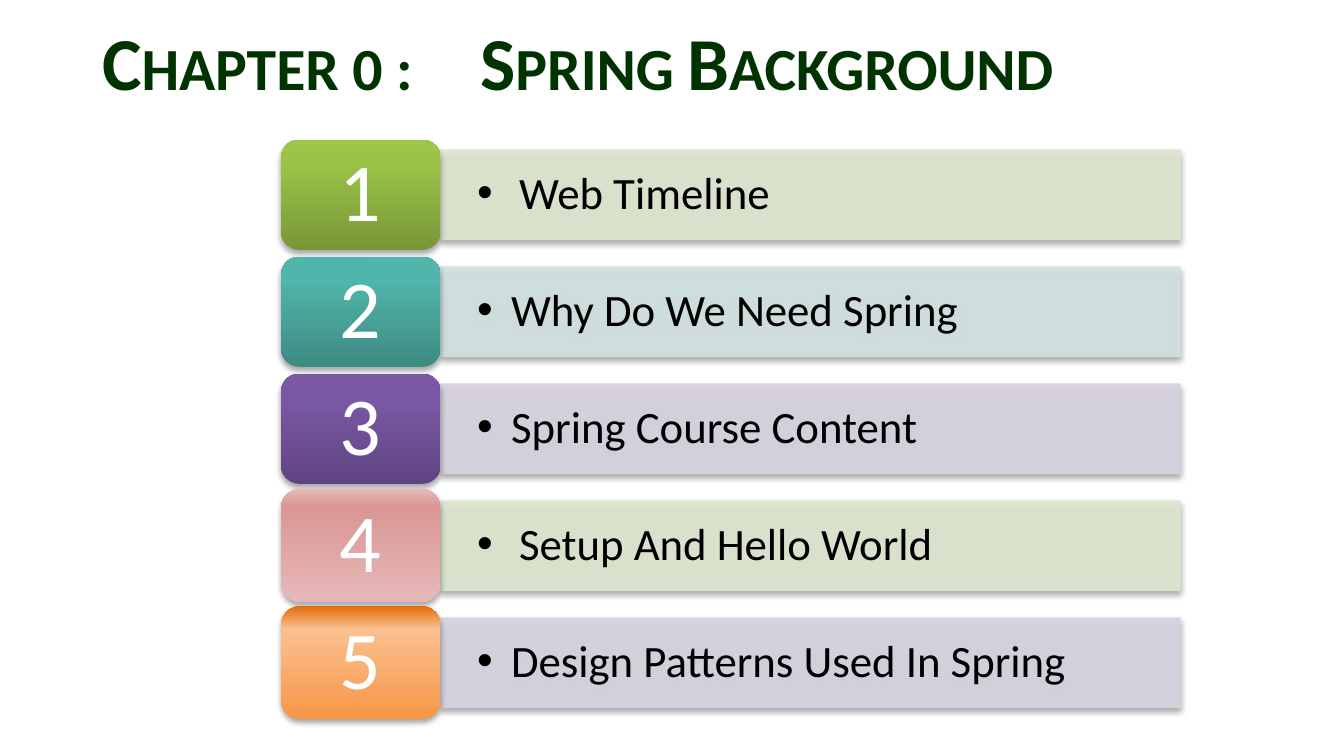
from lxml import etree
from pptx import Presentation, util as u
from pptx.dml.color import RGBColor
from pptx.enum import shapes, text
from pptx.oxml import parse_xml
from pptx.oxml.ns import nsdecls, qn

COLORS = {
    "title": "003300", "text": "000000", "number": "FFFFFF",
    "green": "DEE7D1", "teal": "D2E3E2", "purple": "D8D3E0",
}
SHADOW = (
    f'<a:effectLst {nsdecls("a")}><a:outerShdw blurRad="40000" dist="23000" dir="5400000" '
    'rotWithShape="0"><a:srgbClr val="000000"><a:alpha val="35000"/></a:srgbClr>'
    '</a:outerShdw></a:effectLst>'
)

# topic, bar colour, bullet indent (cm), badge height (cm), badge gradient from bottom to top
CHAPTERS = [
    ("Web Timeline", "green", 0.79, 2.08, [(0, "779737"), (80, "9BC348"), (100, "9DC746")]),
    ("Why Do We Need Spring", "teal", 0.64, 2.08, [(0, "3D8B83"), (80, "50B5AA"), (100, "4EB8AC")]),
    ("Spring Course Content", "purple", 0.64, 2.08, [(0, "5F4480"), (80, "7B58A6"), (100, "7C57A8")]),
    ("Setup And Hello World", "green", 0.79, 2.13, [(0, "E6B9B8"), (85, "D99694"), (100, "E6B9B8")]),
    ("Design Patterns Used In Spring", "purple", 0.64, 2.13, [(0, "F79646"), (80, "FAC090"), (100, "E46C0A")]),
]
FIRST_CENTER, PITCH = 3.68, 2.21
BADGE_LEFT, BADGE_WIDTH = 5.31, 3.02
BAR_WIDTH, BAR_HEIGHT = 13.97, 1.69


def add_run(paragraph, words, size, color):
    run = paragraph.add_run()
    run.text = words
    run.font.name = "Calibri"
    run.font.size = u.Pt(size)
    run.font.color.rgb = RGBColor.from_string(COLORS[color])
    return run


def add_block(preset, left, center, width, height, inset):
    """Add a shape centred on a row, ready for one line of text."""
    block = slide.shapes.add_shape(
        preset, u.Cm(left), u.Cm(center - height / 2), u.Cm(width), u.Cm(height))
    frame = block.text_frame
    frame.word_wrap = True
    frame.vertical_anchor = text.MSO_ANCHOR.MIDDLE
    frame.margin_left = frame.margin_right = u.Cm(inset)
    frame.margin_top = frame.margin_bottom = u.Cm(inset / 2)
    frame.paragraphs[0].line_spacing = 0.9
    return block


prs = Presentation()
prs.slide_width, prs.slide_height = u.Cm(25.4), u.Cm(14.28)
slide = prs.slides.add_slide(prs.slide_layouts[6])

heading = slide.shapes.add_textbox(u.Cm(1.68), u.Cm(-0.05), u.Cm(22.43), u.Cm(2.39))
heading.text_frame.word_wrap = True
heading.text_frame.vertical_anchor = text.MSO_ANCHOR.MIDDLE
for words, tracking in [("Chapter 0 :", 0), (" ", 1450), ("Spring Background", 0)]:
    run = add_run(heading.text_frame.paragraphs[0], words, 40, "title")
    run.font.bold = True
    properties = run.font._element
    properties.set("cap", "small")
    properties.set("spc", str(tracking))

for row, (topic, tint, indent, badge_height, stops) in enumerate(CHAPTERS):
    center = FIRST_CENTER + row * PITCH

    bar = add_block(shapes.MSO_SHAPE.RECTANGLE, BADGE_LEFT + BADGE_WIDTH, center,
                    BAR_WIDTH, BAR_HEIGHT, 0.69)
    bar.fill.solid()
    bar.fill.fore_color.rgb = RGBColor.from_string(COLORS[tint])
    bar.line.color.rgb = RGBColor.from_string(COLORS[tint])
    bar.line.width = u.Pt(0.75)
    for color in bar._element.spPr.iter(qn("a:srgbClr")):
        etree.SubElement(color, qn("a:alpha"), val="90000")
    bar._element.spPr.append(parse_xml(SHADOW))
    line = bar.text_frame.paragraphs[0]
    line.alignment = text.PP_ALIGN.LEFT
    bullet = line._p.get_or_add_pPr()
    bullet.set("marL", str(u.Cm(indent)))
    bullet.set("indent", str(-u.Cm(indent)))
    etree.SubElement(bullet, qn("a:buFont"), typeface="Arial")
    etree.SubElement(bullet, qn("a:buChar"), char="•")
    add_run(line, topic, 24, "text")

    badge = add_block(shapes.MSO_SHAPE.ROUNDED_RECTANGLE, BADGE_LEFT, center,
                      BADGE_WIDTH, badge_height, 0.56)
    badge.line.fill.background()
    stop_xml = "".join(
        f'<a:gs pos="{position * 1000}"><a:srgbClr val="{color}"/></a:gs>'
        for position, color in stops)
    badge._element.spPr.insert(2, parse_xml(
        f'<a:gradFill {nsdecls("a")} rotWithShape="1"><a:gsLst>{stop_xml}</a:gsLst>'
        '<a:lin ang="16200000" scaled="0"/></a:gradFill>'))
    badge._element.spPr.append(parse_xml(SHADOW))
    number = badge.text_frame.paragraphs[0]
    number.alignment = text.PP_ALIGN.CENTER
    add_run(number, str(row + 1), 44, "number")

prs.save("out.pptx")
